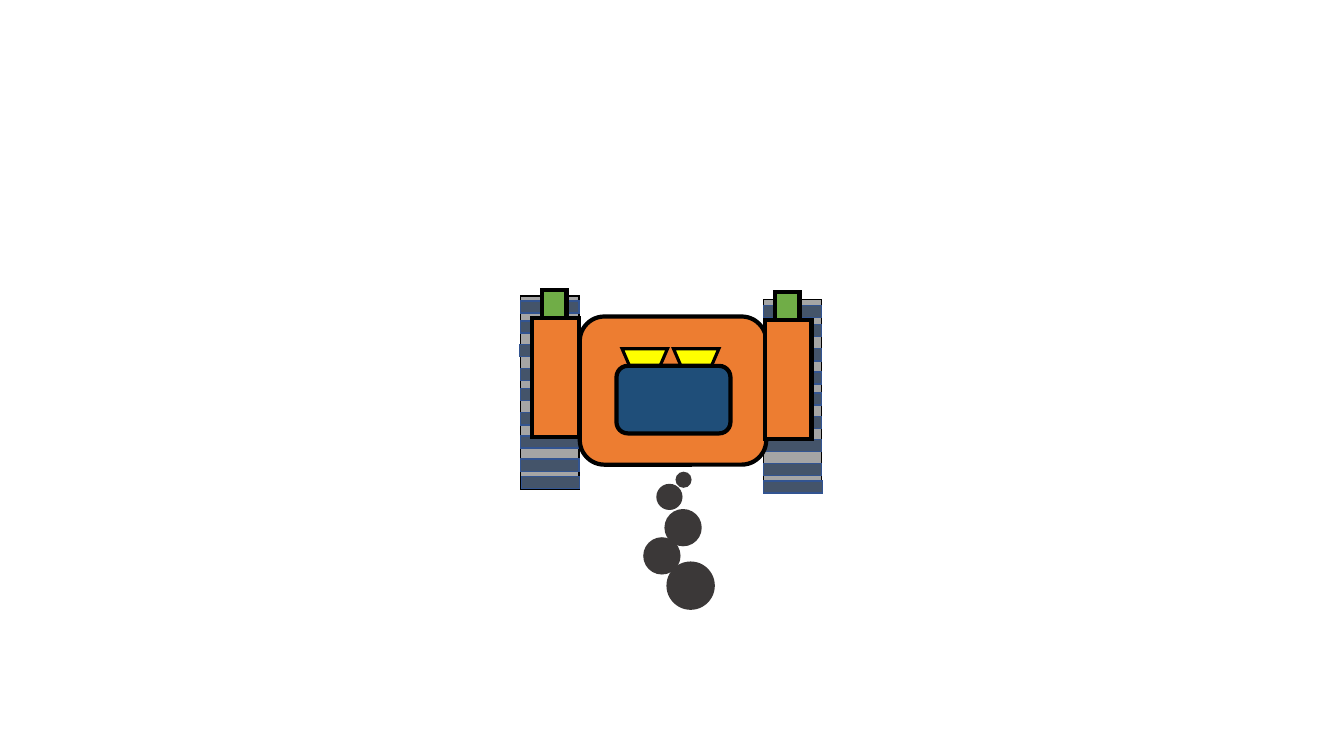
from lxml.etree import SubElement
from pptx import Presentation
from pptx.dml.color import RGBColor
from pptx.enum.shapes import MSO_SHAPE as SHAPE
from pptx.oxml.ns import qn
from pptx.util import Inches, Pt

COLS, ROWS = 1333, 750  # grid cells across and down the slide
BLACK, GREY, SLATE, BLUE = "000000", "A5A5A5", "44546A", "325491"
ORANGE, GREEN, YELLOW, NAVY, SOOT = "ED7D31", "70AD47", "FFFF00", "1F4E79", "3B3838"


def rgb(value):
    return RGBColor.from_string(value)


class Drawing:
    """Holds the style and the current slide."""

    outline = 3

    def __init__(self, prs):
        self.s = prs.slides.add_slide(prs.slide_layouts[6])
        self.cell_w = prs.slide_width / COLS
        self.cell_h = prs.slide_height / ROWS

    def shape(self, kind, col, row, w, h, fill, line=BLACK, width=outline, turn=0):
        sp = self.s.shapes.add_shape(
            kind, round(col * self.cell_w), round(row * self.cell_h),
            round(w * self.cell_w), round(h * self.cell_h))
        sp.shadow.inherit = False
        sp.rotation = turn
        sp.fill.solid()
        sp.fill.fore_color.rgb = rgb(fill)
        if line:
            sp.line.color.rgb = rgb(line)
            sp.line.width = Pt(width)
            # Sharp outline corners
            ln = sp.line.fill._xPr
            SubElement(ln, qn("a:miter")).set("lim", "800000")
        else:
            sp.line.fill.background()

    def track(self, col, row, treads):
        self.shape(SHAPE.RECTANGLE, col, row, 58, 192, GREY, width=1)
        for dx, dy in treads:
            self.shape(SHAPE.RECTANGLE, col + dx, row + dy, 58, 12, SLATE, BLUE, 1)

    def arm(self, col, row):
        # A green tip, mostly covered by the orange arm
        self.shape(SHAPE.RECTANGLE, col, row, 118, 24, GREEN, turn=270)
        self.shape(SHAPE.RECTANGLE, col + 1, row + 16.5, 118, 46, ORANGE, turn=270)

    def light(self, col, row):
        self.shape(SHAPE.ISOSCELES_TRIANGLE, col, row, 45, 52, YELLOW,
                   width=2.25, turn=180)

    def puff(self, col, row, size):
        self.shape(SHAPE.OVAL, col, row, size, size, SOOT, line=None)


def main():
    prs = Presentation()
    prs.slide_width, prs.slide_height = Inches(13.33), Inches(7.5)
    d = Drawing(prs)

    # Tracks: treads as offsets from the top left of the track
    d.track(516.5, 293.5, [(0, 5), (0, 25), (-1, 48), (0, 72), (0, 92),
                           (0, 116), (0, 139), (0, 162), (0.5, 179)])
    d.track(757, 297, [(0, 6), (0, 25), (0, 49), (0, 72), (0, 93),
                       (0, 116), (0, 139), (0, 163), (0.5, 180)])

    # Body with headlights and cabin
    d.shape(SHAPE.ROUNDED_RECTANGLE, 575, 314, 185, 147, ORANGE)
    for col in (668, 617):
        d.light(col, 346)
    d.shape(SHAPE.ROUNDED_RECTANGLE, 611.5, 363, 113, 67, NAVY)

    # Arms
    for col, row in ((491, 335), (722, 337)):
        d.arm(col, row)

    # Exhaust smoke
    for col, row, size in ((670, 468, 16), (659, 505, 37), (661, 557, 48),
                           (638, 533, 37), (651, 480, 26)):
        d.puff(col, row, size)

    prs.save("out.pptx")


if __name__ == "__main__":
    main()
